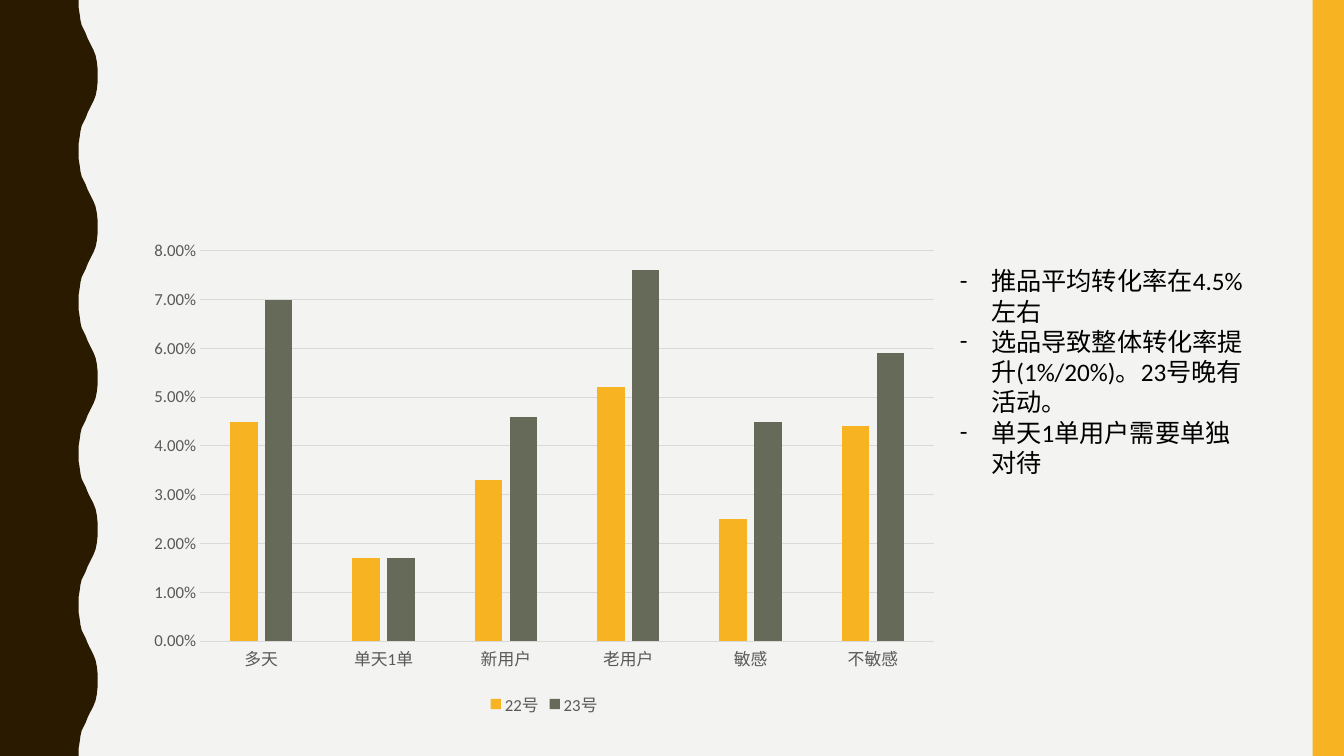
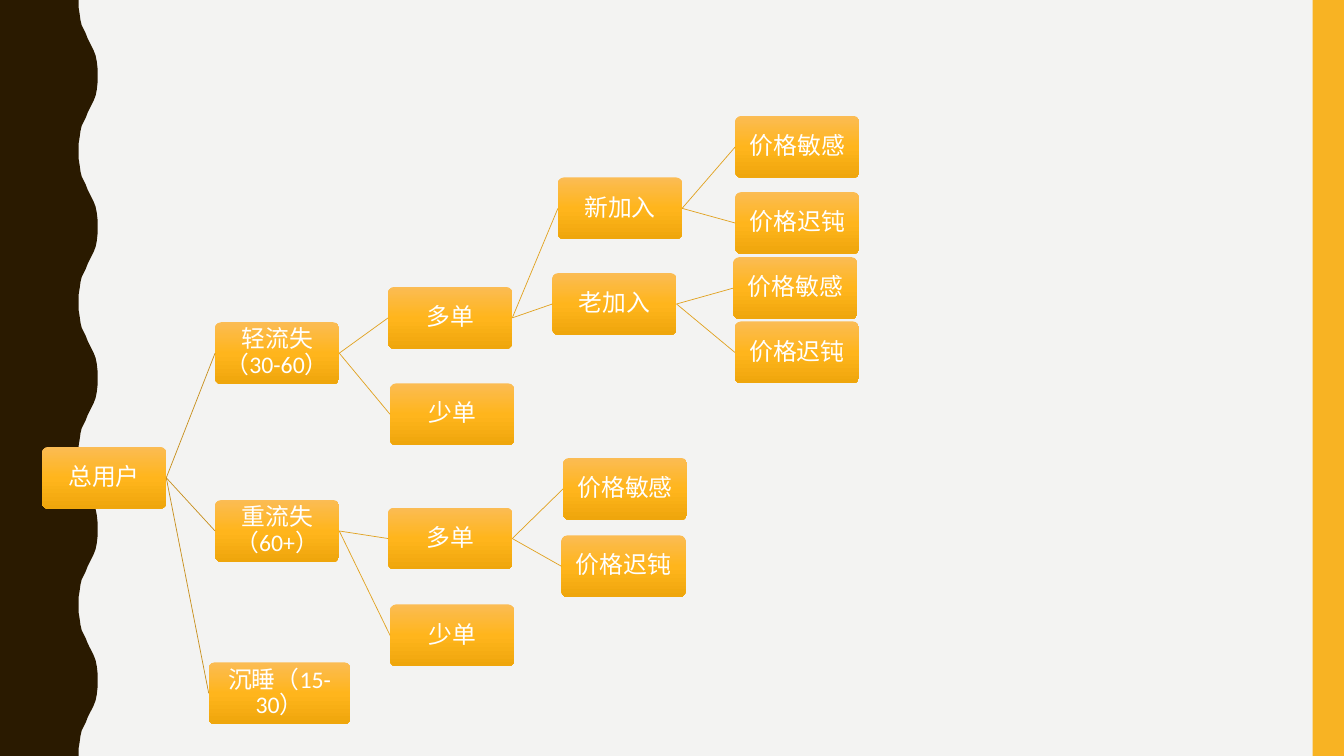
from copy import deepcopy
from dataclasses import dataclass

from lxml.etree import SubElement
from pptx import Presentation
from pptx.chart.data import CategoryChartData
from pptx.dml.color import RGBColor
from pptx.enum.chart import XL_CHART_TYPE, XL_LEGEND_POSITION, XL_TICK_MARK
from pptx.enum.shapes import MSO_CONNECTOR, MSO_SHAPE
from pptx.enum.text import MSO_ANCHOR, MSO_AUTO_SIZE, PP_ALIGN
from pptx.oxml.ns import qn
from pptx.presentation import Presentation as Deck
from pptx.shapes.autoshape import Shape
from pptx.slide import Slide
from pptx.text.text import Font
from pptx.util import Cm, Pt

FACE = "Calibri"
HUES = {
    "paper": "F3F3F2",
    "brown": "2A1A00",
    "gold": "F8B323",
    "olive": "656A59",
    "grid": "D9D9D9",
    "label": "595959",
    "black": "000000",
    "white": "FFFFFF",
    "light": "FBBC54",
    "mid": "FFB51C",
    "deep": "EFA60C",
    "trunk": "C78F1C",
    "branch": "E1A220",
}
WIDE, HIGH = 33.87, 19.05
WAVES = 5
CURVE = (
    (1.98, 0), (1.98, 0.18), (2.01, 0.36), (2.03, 0.51), (2.06, 0.64),
    (2.11, 0.74), (2.16, 0.84), (2.21, 0.97), (2.26, 1.07), (2.31, 1.17),
    (2.36, 1.27), (2.41, 1.4), (2.44, 1.55), (2.46, 1.73), (2.46, 1.9),
)


@dataclass(frozen=True)
class Node:
    text: str
    left: float
    top: float
    kids: tuple["Node", ...] = ()
    width: float = 3.13
    height: float = 1.56


@dataclass(frozen=True)
class Series:
    name: str
    hue: str
    vals: tuple[float, ...]


GROUPS = ("多天", "单天1单", "新用户", "老用户", "敏感", "不敏感")
DAYS = (
    Series("22号", "gold", (0.045, 0.017, 0.033, 0.052, 0.025, 0.044)),
    Series("23号", "olive", (0.07, 0.017, 0.046, 0.076, 0.045, 0.059)),
)
NOTES = (
    "推品平均转化率在4.5%左右",
    "选品导致整体转化率提升(1%/20%)。23号晚有活动。",
    "单天1单用户需要单独对待",
)
KEEN, DULL = "价格敏感", "价格迟钝"
TREE = Node("总用户", 1.06, 11.26, (
    Node("轻流失（30-60）", 5.42, 8.12, (
        Node("多单", 9.78, 7.23, (
            Node("新加入", 14.06, 4.47, (
                Node(KEEN, 18.53, 2.92),
                Node(DULL, 18.53, 4.84),
            )),
            Node("老加入", 13.92, 6.88, (
                Node(KEEN, 18.48, 6.48),
                Node(DULL, 18.52, 8.1),
            )),
        )),
        Node("少单", 9.83, 9.66),
    )),
    Node("重流失（60+）", 5.42, 12.6, (
        Node("多单", 9.78, 12.79, (
            Node(KEEN, 14.19, 11.54),
            Node(DULL, 14.15, 13.49),
        )),
        Node("少单", 9.83, 15.23),
    )),
    Node("沉睡（15-30）", 5.26, 16.69, width=3.57),
))


def tint(name: str) -> RGBColor:
    return RGBColor.from_string(HUES[name])


def style(font: Font, size: float, hue: str) -> None:
    font.name = FACE
    font.size = Pt(size)
    font.color.rgb = tint(hue)


def paint(shape: Shape, hue: str) -> None:
    shape.shadow.inherit = False
    shape.fill.solid()
    shape.fill.fore_color.rgb = tint(hue)
    shape.line.fill.background()


def add_page(deck: Deck) -> Slide:
    slide = deck.slides.add_slide(deck.slide_layouts[6])
    step = HIGH / WAVES
    cycle = CURVE + tuple((x, step - y) for x, y in reversed(CURVE))
    edge = [(Cm(x), Cm(y + step * turn)) for turn in range(WAVES) for x, y in cycle]
    wave = slide.shapes.build_freeform(0, 0)
    wave.add_line_segments(edge + [(0, Cm(HIGH))], close=True)
    paint(wave.convert_to_shape(), "brown")
    band = slide.shapes.add_shape(
        MSO_SHAPE.RECTANGLE, Cm(33.08), 0, Cm(0.79), Cm(HIGH)
    )
    paint(band, "gold")
    return slide


def add_bars(slide: Slide) -> None:
    data = CategoryChartData(number_format="0.00%")
    data.categories = GROUPS
    for day in DAYS:
        data.add_series(day.name, day.vals)
    chart = slide.shapes.add_chart(
        XL_CHART_TYPE.COLUMN_CLUSTERED,
        Cm(3.48), Cm(5.82), Cm(20.47), Cm(12.34), data,
    ).chart
    style(chart.font, 10, "black")
    chart.has_title = False
    chart.has_legend = True
    chart.legend.position = XL_LEGEND_POSITION.BOTTOM
    chart.legend.include_in_layout = False
    style(chart.legend.font, 12, "label")
    plot = chart.plots[0]
    plot.gap_width, plot.overlap = 219, -27
    plot.vary_by_categories = False
    for bar, day in zip(plot.series, DAYS):
        bar.format.fill.solid()
        bar.format.fill.fore_color.rgb = tint(day.hue)
    base, scale = chart.category_axis, chart.value_axis
    for axis in (base, scale):
        axis.major_tick_mark = axis.minor_tick_mark = XL_TICK_MARK.NONE
        style(axis.tick_labels.font, 12, "label")
    scale.minimum_scale, scale.maximum_scale, scale.major_unit = 0, 0.08, 0.01
    scale.tick_labels.number_format = "0.00%"
    scale.tick_labels.number_format_is_linked = False
    scale.format.line.fill.background()
    for line in (base.format.line, scale.major_gridlines.format.line):
        line.color.rgb = tint("grid")
        line.width = Pt(0.75)


def add_notes(slide: Slide) -> None:
    box = slide.shapes.add_textbox(Cm(23.94), Cm(6.57), Cm(7.75), Cm(5.64))
    frame = box.text_frame
    frame.word_wrap = True
    frame.auto_size = MSO_AUTO_SIZE.SHAPE_TO_FIT_TEXT
    for spot, note in enumerate(NOTES):
        para = frame.add_paragraph() if spot else frame.paragraphs[0]
        props = para._p.get_or_add_pPr()
        props.set("marL", str(Cm(0.79)))
        props.set("indent", str(-Cm(0.79)))
        SubElement(props, qn("a:buFont")).set("typeface", FACE)
        SubElement(props, qn("a:buChar")).set("char", "-")
        run = para.add_run()
        run.text = note
        style(run.font, 18, "black")


def shade(shape: Shape) -> None:
    fill = shape.fill
    fill.gradient()
    fill.gradient_angle = 270
    stops = shape._element.spPr.find(qn("a:gradFill")).find(qn("a:gsLst"))
    stops.insert(1, deepcopy(stops[0]))
    marks = ((0, "light"), (0.5, "mid"), (1, "deep"))
    for stop, (place, hue) in zip(fill.gradient_stops, marks):
        stop.position = place
        stop.color.rgb = tint(hue)


def add_box(slide: Slide, node: Node) -> Shape:
    box = slide.shapes.add_shape(
        MSO_SHAPE.ROUNDED_RECTANGLE,
        Cm(node.left), Cm(node.top), Cm(node.width), Cm(node.height),
    )
    box.adjustments[0] = 0.1
    box.shadow.inherit = False
    box.line.fill.background()
    shade(box)
    frame = box.text_frame
    frame.word_wrap = True
    frame.vertical_anchor = MSO_ANCHOR.MIDDLE
    frame.margin_left = frame.margin_right = Cm(0.02)
    frame.margin_top = frame.margin_bottom = Cm(0.02)
    para = frame.paragraphs[0]
    para.alignment = PP_ALIGN.CENTER
    para.line_spacing = 0.9
    para.space_after = Pt(6)
    run = para.add_run()
    run.text = node.text
    style(run.font, 17, "white")
    return box


def join(slide: Slide, start: Shape, end: Shape, hue: str) -> None:
    line = slide.shapes.add_connector(MSO_CONNECTOR.STRAIGHT, 0, 0, 0, 0)
    line.begin_connect(start, 3)
    line.end_connect(end, 1)
    line.line.color.rgb = tint(hue)
    line.line.width = Pt(0.5)
    SubElement(line._element.spPr, qn("a:effectLst"))


def add_tree(slide: Slide, node: Node, hue: str = "trunk") -> Shape:
    box = add_box(slide, node)
    for kid in node.kids:
        join(slide, box, add_tree(slide, kid, "branch"), hue)
    return box


def main() -> None:
    deck = Presentation()
    deck.slide_width, deck.slide_height = Cm(WIDE), Cm(HIGH)
    back = deck.slide_master.background.fill
    back.solid()
    back.fore_color.rgb = tint("paper")
    first = add_page(deck)
    add_bars(first)
    add_notes(first)
    add_tree(add_page(deck), TREE)
    deck.save("out.pptx")


if __name__ == "__main__":
    main()
